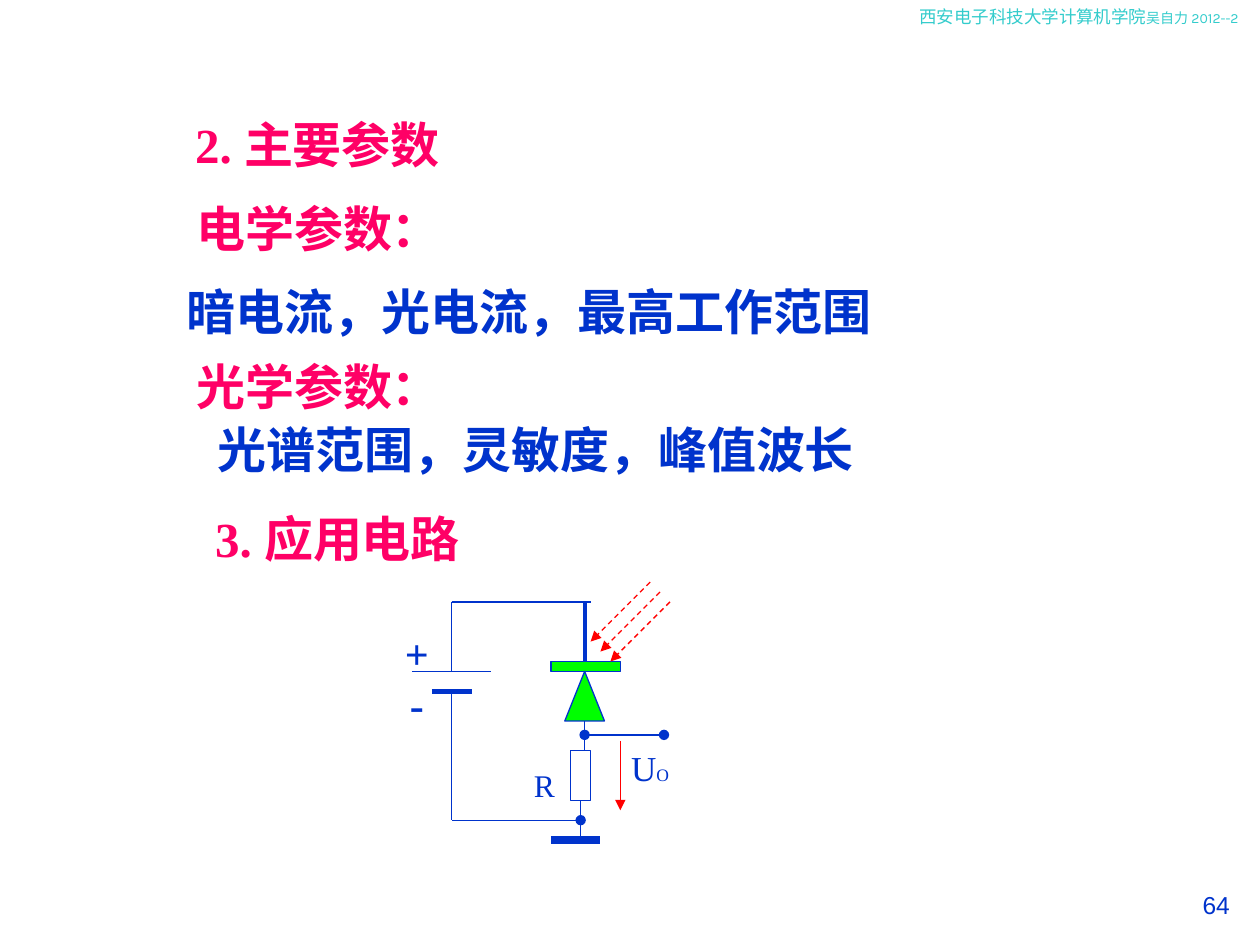
from lxml.etree import SubElement
from pptx import Presentation
from pptx.dml.color import RGBColor
from pptx.enum.dml import MSO_LINE
from pptx.enum.shapes import MSO_CONNECTOR, MSO_SHAPE
from pptx.enum.text import PP_ALIGN
from pptx.oxml.ns import qn
from pptx.util import Inches, Mm, Pt

BLUE = RGBColor(0x00, 0x33, 0xCC)
PINK = RGBColor(0xFF, 0x00, 0x66)
RED = RGBColor(0xFF, 0x00, 0x00)
GREEN = RGBColor(0x00, 0xFF, 0x00)
WHITE = RGBColor(0xFF, 0xFF, 0xFF)
TEAL = RGBColor(0x33, 0xCC, 0xCC)
SERIF = "Times New Roman"

WIDE, HIGH = Inches(10), Inches(7.5)
LEFT, TOP, STEP = Inches(3.27), Inches(4.62), Mm(2)  # circuit grid
MID, BASE = 17.4, 17  # columns of the diode and of the resistor


def col(n):
    return round(LEFT + n * STEP)


def row(n):
    return round(TOP + n * STEP)


def cells(x, y, w, h):
    """Turn grid columns and rows into a box on the slide."""
    return col(x), row(y), round(w * STEP), round(h * STEP)


def share(x, y, w, h):
    """Turn shares of the slide's size into a box on the slide."""
    return round(x * WIDE), round(y * HIGH), round(w * WIDE), round(h * HIGH)


def text(shapes, box, lines, color, font=SERIF, bold=False,
         align=PP_ALIGN.LEFT, wrap=True):
    """Each line is a list of (words, size) runs."""
    frame = shapes.add_textbox(*box).text_frame
    frame.word_wrap = wrap
    for i, parts in enumerate(lines):
        para = frame.add_paragraph() if i else frame.paragraphs[0]
        para.alignment = align
        for words, size in parts:
            run = para.add_run()
            run.text = words
            run.font.size = Pt(size)
            run.font.name = font
            run.font.bold = bold
            run.font.color.rgb = color


def wire(shapes, start, end, color=BLUE, width=0.75, head=None, tail=None,
         dash=False):
    line = shapes.add_connector(MSO_CONNECTOR.STRAIGHT, col(start[0]),
                                row(start[1]), col(end[0]), row(end[1]))
    line.line.color.rgb = color
    line.line.width = Pt(width)
    if dash:
        line.line.dash_style = MSO_LINE.DASH
    ln = line.line._get_or_add_ln()
    for tag, kind in (("a:headEnd", head), ("a:tailEnd", tail)):
        if kind:
            SubElement(ln, qn(tag), type=kind)
    SubElement(line._element.spPr, qn("a:effectLst"))


def part(shapes, kind, box, fill):
    shape = shapes.add_shape(kind, *box)
    shape.shadow.inherit = False
    shape.fill.solid()
    shape.fill.fore_color.rgb = fill
    shape.line.color.rgb = BLUE
    shape.line.width = Pt(0.75)


def draw_circuit(shapes):
    part(shapes, MSO_SHAPE.RECTANGLE, cells(14, 8, 7, 1), GREEN)
    wire(shapes, (MID, 2), (MID, 8), width=2.25)
    wire(shapes, (MID, 14), (MID, 21))
    wire(shapes, (4, 2), (18, 2))
    wire(shapes, (BASE, 24), (4, 24), head="oval")
    part(shapes, MSO_SHAPE.RECTANGLE, cells(16, 17, 2, 5), WHITE)
    wire(shapes, (BASE, 22), (BASE, 26))
    # battery
    wire(shapes, (4, 2), (4, 9))
    wire(shapes, (2, 11), (6, 11), width=3)
    wire(shapes, (0, 9), (8, 9))
    wire(shapes, (4, 11), (4, 24))
    # diode, ground and output
    part(shapes, MSO_SHAPE.FLOWCHART_EXTRACT, cells(MID - 2, 9, 4, 5), GREEN)
    wire(shapes, (14, 26), (19, 26), width=4.5)
    wire(shapes, (MID, 15.4), (MID + 8, 15.4), width=1, head="oval",
         tail="oval")
    wire(shapes, (21, 16), (21, 23), RED, tail="triangle")
    for box, lines, wrap in (
            ((20.8, 15.9, 6.4, 5.6), [[("U", 20), ("O", 10)]], False),
            ((11, 17.9, 4.7, 5.1), [[("R", 18)]], True)):
        text(shapes, cells(*box), lines, BLUE, align=PP_ALIGN.CENTER,
             wrap=wrap)
    text(shapes, cells(-2, 4, 5, 11.4), [[("+", 24)], [("-", 24)]], BLUE,
         bold=True, align=PP_ALIGN.CENTER, wrap=False)
    for i in range(3):  # light rays
        wire(shapes, (24 + i, i), (18 + i, 6 + i), RED, tail="triangle",
             dash=True)


def main():
    deck = Presentation()
    deck.slide_width, deck.slide_height = WIDE, HIGH
    shapes = deck.slides.add_slide(deck.slide_layouts[6]).shapes

    text(shapes, share(0.72, 0, 0.28, 0.05),
         [[("西安电子科技大学计算机学院", 10), ("吴自力 2012--2", 8)]],
         TEAL, "Karla")
    text(shapes, share(0.736, 0.935, 0.25, 0.07), [[("64", 14)]], BLUE,
         "Arial", align=PP_ALIGN.RIGHT)
    draw_circuit(shapes.add_group_shape().shapes)
    for x, y, w, words, color, wrap in (
            (0.145, 0.115, 0.325, "2. 主要参数", PINK, True),
            (0.146, 0.204, 0.214, "电学参数：", PINK, False),
            (0.138, 0.291, 0.617, "暗电流，光电流，最高工作范围", BLUE, True),
            (0.146, 0.371, 0.214, "光学参数：", PINK, False),
            (0.163, 0.437, 0.525, "光谱范围，灵敏度，峰值波长", BLUE, False),
            (0.161, 0.532, 0.325, "3. 应用电路", PINK, True)):
        text(shapes, share(x, y, w, 0.076), [[(words, 28)]], color,
             bold=True, wrap=wrap)
    deck.save("out.pptx")


if __name__ == "__main__":
    main()
